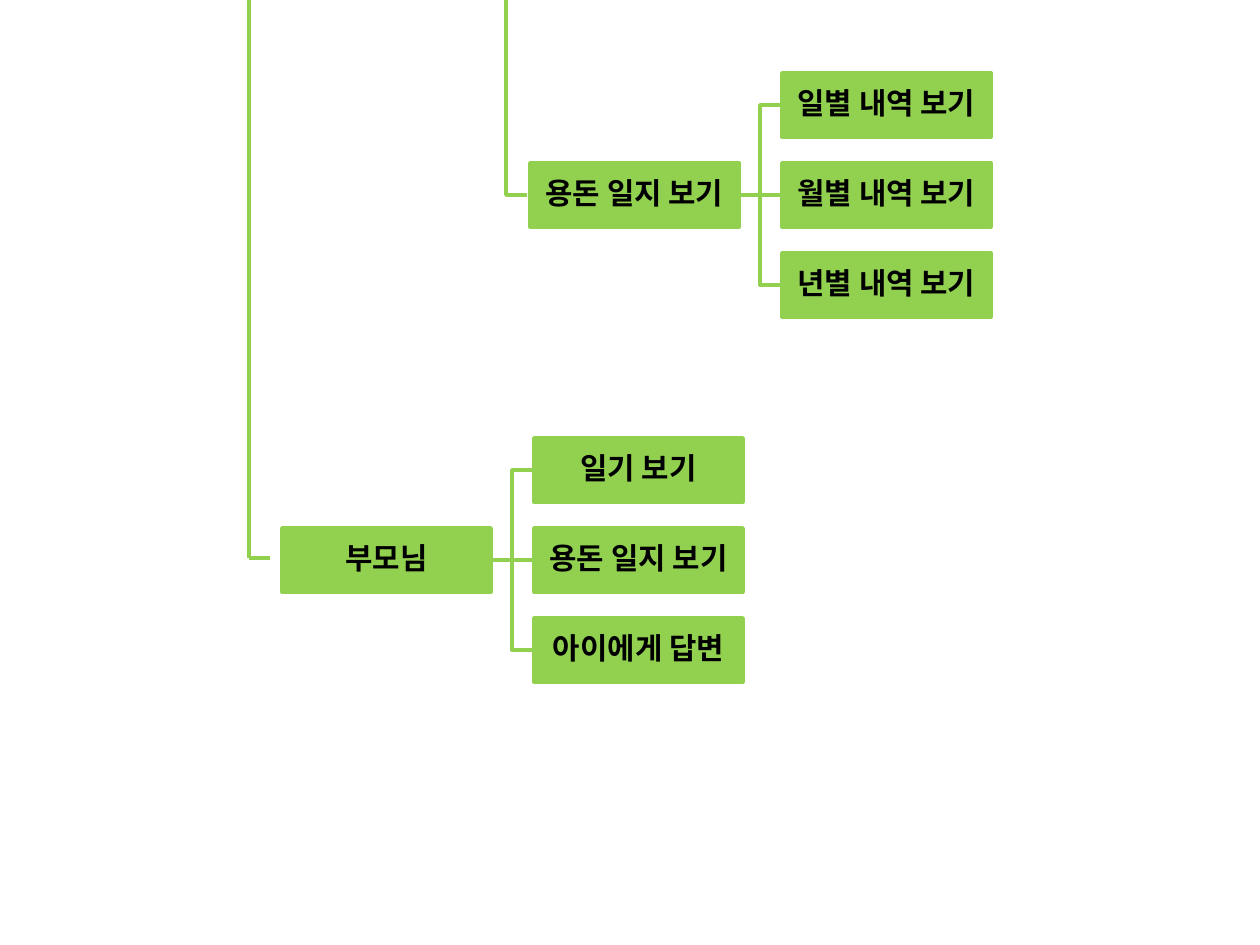
"""Build a menu tree slide with two branches hanging from side trunks."""
from lxml.etree import SubElement
from pptx import Presentation
from pptx.dml.color import RGBColor
from pptx.enum.shapes import MSO_CONNECTOR as Connector, MSO_SHAPE as Shape
from pptx.enum.text import MSO_ANCHOR as Anchor, PP_ALIGN as Align
from pptx.oxml.ns import qn
from pptx.util import Emu, Pt

SCALE = 914400 / 126
GREEN, BLACK = "92D050", "000000"
FONT = "Noto Sans CJK KR"
BOX_WIDTH, BOX_HEIGHT = 209, 64
COLUMN_GAP, ROW_PITCH = 43, 90
RIGHT, LEFT = 3, 1
FRAME_FORMAT = {"vertical_anchor": Anchor.MIDDLE, "word_wrap": True,
                "margin_left": Pt(1), "margin_right": Pt(1),
                "margin_top": Pt(1), "margin_bottom": Pt(1)}
FONT_FORMAT = {"name": FONT, "size": Pt(17), "bold": True}


def px(length):
    """Turn px into EMU."""
    return Emu(round(length * SCALE))


def color(value):
    """Turn a hex string into a colour."""
    return RGBColor.from_string(value)


def apply_format(target, values):
    """Set every attribute named in values."""
    for name, value in values.items():
        setattr(target, name, value)


def style_line(shape, width=2):
    """Give a shape or connector its green line."""
    shape.line.color.rgb = color(GREEN)
    shape.line.width = Pt(width)


def add_box(slide, left, top, label):
    """Add one labelled menu box."""
    box = slide.shapes.add_shape(
        Shape.RECTANGLE, px(left), px(top), px(BOX_WIDTH), px(BOX_HEIGHT))
    box.shadow.inherit = False
    box.fill.solid()
    box.fill.fore_color.rgb = color(GREEN)
    style_line(box)
    apply_format(box.text_frame, FRAME_FORMAT)
    paragraph = box.text_frame.paragraphs[0]
    apply_format(paragraph, {"alignment": Align.CENTER, "line_spacing": 0.9})
    spacing = SubElement(paragraph._p.get_or_add_pPr(), qn("a:spcAft"))
    SubElement(spacing, qn("a:spcPct"), val="35000")
    run = paragraph.add_run()
    run.text = label
    apply_format(run.font, FONT_FORMAT)
    run.font.color.rgb = color(BLACK)
    SubElement(run._r.get_or_add_rPr(), qn("a:ea"), typeface=FONT)
    return box


def add_line(shapes, start, end, width=2):
    """Add a straight connector between two points."""
    line = shapes.add_connector(
        Connector.STRAIGHT, *(px(value) for value in (*start, *end)))
    style_line(line, width)
    SubElement(line._element.spPr, qn("a:effectLst"))
    return line


def add_elbow(slide, start, end):
    """Add an open elbow that turns halfway across."""
    middle = (start[0] + end[0]) / 2
    builder = slide.shapes.build_freeform(*start, scale=SCALE)
    builder.add_line_segments(
        [(middle, start[1]), (middle, end[1]), end], close=False)
    elbow = builder.convert_to_shape()
    elbow.shadow.inherit = False
    elbow.fill.background()
    style_line(elbow)


def add_branch(slide, left, top, parent_label, child_labels):
    """Add a parent box whose children are centred on its row."""
    start = (left + BOX_WIDTH, top + BOX_HEIGHT / 2)
    child_left = start[0] + COLUMN_GAP
    parent = add_box(slide, left, top, parent_label)
    middle = len(child_labels) // 2
    for index, label in enumerate(child_labels):
        offset = (index - middle) * ROW_PITCH
        end = (child_left, start[1] + offset)
        child = add_box(slide, child_left, top + offset, label)
        if offset:
            add_elbow(slide, start, end)
        else:
            line = add_line(slide.shapes, start, end)
            line.begin_connect(parent, RIGHT)
            line.end_connect(child, LEFT)


def add_trunk(slide, left, top, right, bottom):
    """Add the grouped main trunk with its foot."""
    shapes = slide.shapes.add_group_shape().shapes
    add_line(shapes, (left, bottom), (left, top), 2.25)
    add_line(shapes, (right, bottom), (left, bottom), 2.25)


def main():
    """Build and save the slide."""
    presentation = Presentation()
    presentation.slide_width, presentation.slide_height = px(1260), px(945)
    slide = presentation.slides.add_slide(presentation.slide_layouts[6])
    add_elbow(slide, (485, -28), (527, 195))
    add_branch(slide, 530, 163, "용돈 일지 보기",
               ["일별 내역 보기", "월별 내역 보기", "년별 내역 보기"])
    add_trunk(slide, 249, -1, 270, 558)
    add_branch(slide, 282, 528, "부모님",
               ["일기 보기", "용돈 일지 보기", "아이에게 답변"])
    presentation.save("out.pptx")


if __name__ == "__main__":
    main()
